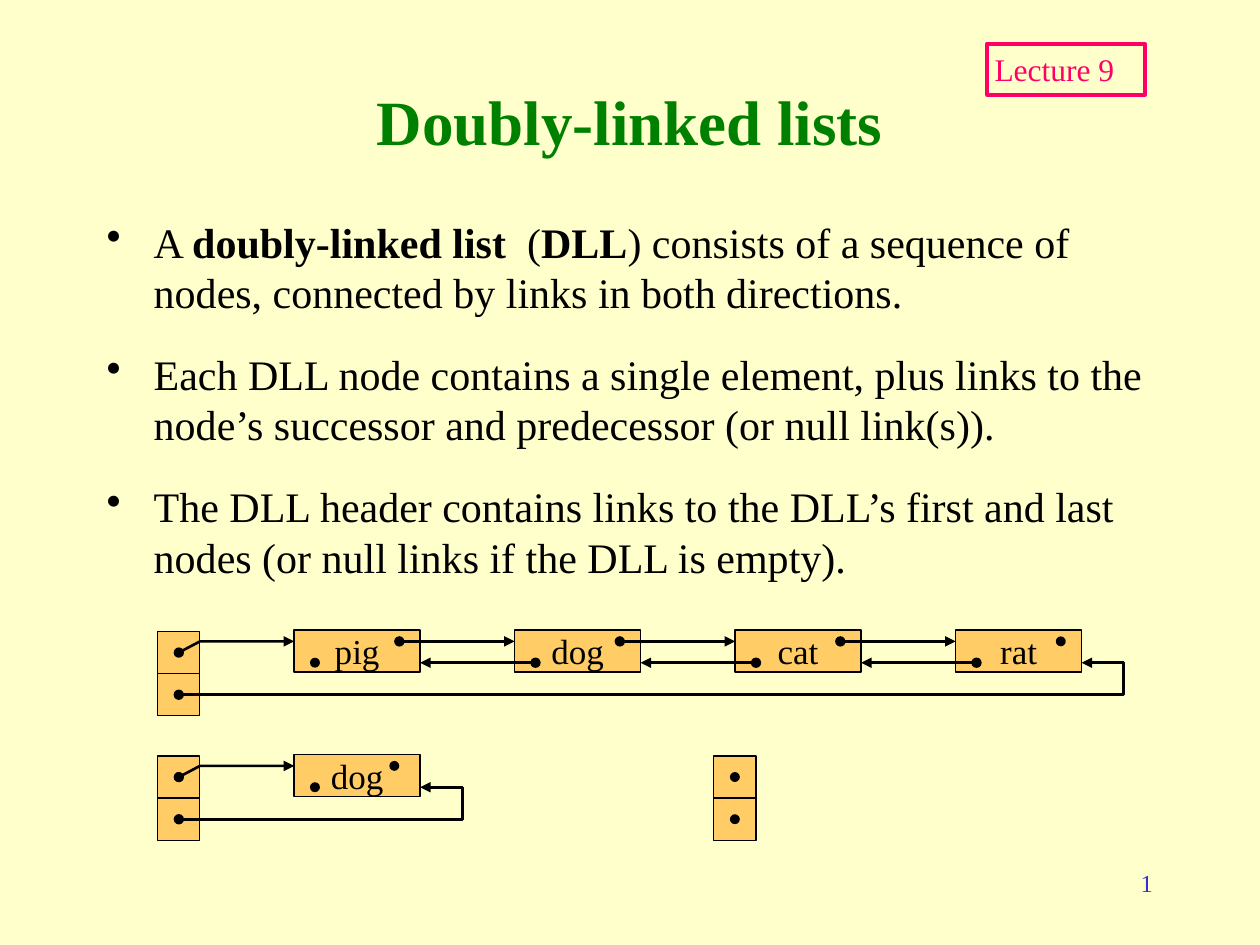
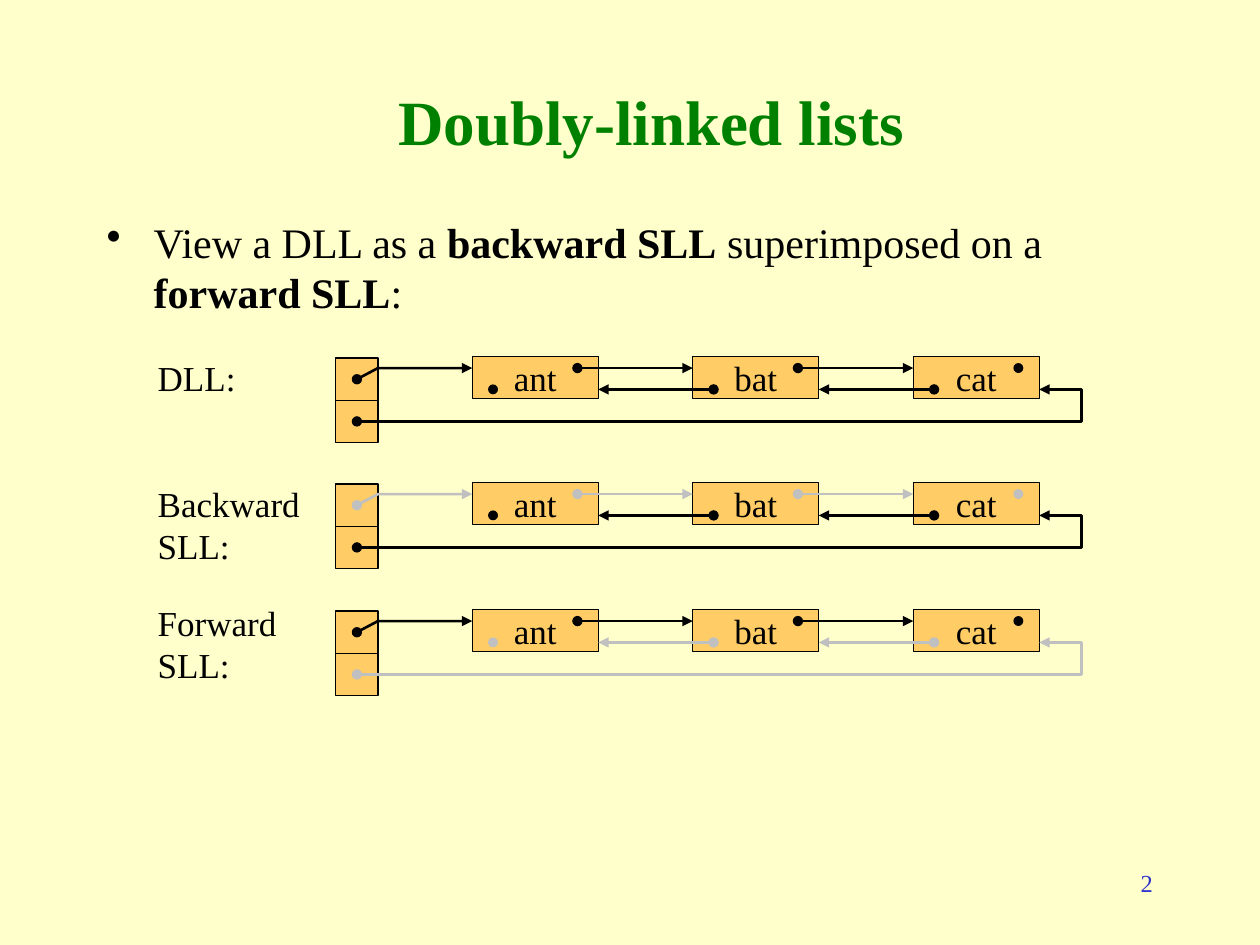
from lxml.etree import SubElement
from pptx import Presentation
from pptx.dml.color import RGBColor
from pptx.enum.shapes import MSO_CONNECTOR, MSO_SHAPE
from pptx.enum.text import MSO_ANCHOR, PP_ALIGN
from pptx.oxml.ns import qn
from pptx.util import Cm, Pt

FONT = "Times New Roman"
BACKGROUND, NODE_FILL = "FFFFCC", "FFCC66"
BLACK, FADED = "000000", "C0C0C0"
TITLE_GREEN, NUMBER_BLUE, LECTURE_PINK = "008000", "3333CC", "FF0066"

# Linked list geometry in centimetres
CELL = 0.85
NODE_WIDTH, NODE_PITCH, FIRST_NODE = 2.54, 4.445, 2.75
HEADER_DROP = 0.03
FORWARD_ROW, BACKWARD_ROW = 0.23, 0.66
FORWARD_DOT, BACKWARD_DOT = 2.12, 0.42
DOT_SIZE = 0.2


def color(hex_string):
    return RGBColor.from_string(hex_string)


def box(left, top, width, height):
    return [Cm(value) for value in (left, top, width, height)]


# Text
def write(paragraph, text, size=20, ink=BLACK, bold=False, align=PP_ALIGN.LEFT):
    """Write text whose *starred* parts are bold."""
    paragraph.alignment = align
    for index, part in enumerate(text.split("*")):
        if part:
            run = paragraph.add_run()
            run.text = part
            run.font.name = FONT
            run.font.size = Pt(size)
            run.font.bold = bold or index % 2 == 1
            run.font.color.rgb = color(ink)


def prepare_frame(shape, side=0, end=0, anchor=MSO_ANCHOR.TOP):
    frame = shape.text_frame
    frame.word_wrap = True
    frame.vertical_anchor = anchor
    frame.margin_left = frame.margin_right = Cm(side)
    frame.margin_top = frame.margin_bottom = Cm(end)
    return frame.paragraphs[0]


def add_label(shapes, area, text, side=0, end=0, **style):
    label = shapes.add_textbox(*box(*area))
    write(prepare_frame(label, side, end), text, **style)


def make_bullet(paragraph):
    properties = paragraph._p.get_or_add_pPr()
    properties.set("marL", str(Cm(0.95)))
    properties.set("indent", str(Cm(-0.95)))
    bullet_color = SubElement(properties, qn("a:buClr"))
    SubElement(bullet_color, qn("a:srgbClr"), val=BLACK)
    SubElement(properties, qn("a:buChar"), char="•")


# Shapes
def add_rectangle(shapes, area, fill=None, ink=BLACK, weight=0.75):
    shape = shapes.add_shape(MSO_SHAPE.RECTANGLE, *box(*area))
    shape.shadow.inherit = False
    if fill:
        shape.fill.solid()
        shape.fill.fore_color.rgb = color(fill)
    else:
        shape.fill.background()
    shape.line.color.rgb = color(ink)
    shape.line.width = Pt(weight)
    return shape


def add_dot(shapes, x, y, ink):
    corner = x - DOT_SIZE / 2, y - DOT_SIZE / 2
    dot = shapes.add_shape(MSO_SHAPE.OVAL, *box(*corner, DOT_SIZE, DOT_SIZE))
    dot.shadow.inherit = False
    dot.fill.solid()
    dot.fill.fore_color.rgb = color(ink)
    dot.line.fill.background()


def add_link(shapes, points, ink):
    """Draw a link through the points, from a dot to an arrowhead."""
    start, *others = [(Cm(x), Cm(y)) for x, y in points]
    if len(others) == 1:
        link = shapes.add_connector(MSO_CONNECTOR.STRAIGHT, *start, *others[0])
        SubElement(link._element.spPr, qn("a:effectLst"))
    else:
        builder = shapes.build_freeform(*start)
        builder.add_line_segments(others, close=False)
        link = builder.convert_to_shape()
        link.shadow.inherit = False
        link.fill.background()
    link.line.color.rgb = color(ink)
    link.line.width = Pt(1.5)
    line = link.line._get_or_add_ln()
    SubElement(line, qn("a:headEnd"), type="oval", w="med", len="med")
    SubElement(line, qn("a:tailEnd"), type="triangle", w="med", len="lng")


# Linked list: header cells, nodes and both chains of links
def draw_list(slide, left, top, words, forward=BLACK, backward=BLACK,
              last_dot=FORWARD_DOT, label=None, label_area=None):
    shapes = slide.shapes.add_group_shape().shapes
    forward_y, backward_y = top + FORWARD_ROW, top + BACKWARD_ROW
    header_x = left + CELL / 2
    first_y = top + HEADER_DROP + CELL / 2
    last_y = first_y + CELL
    for row in range(2):
        area = left, top + HEADER_DROP + row * CELL, CELL, CELL
        add_rectangle(shapes, area, NODE_FILL)
    if label:
        add_label(shapes, label_area, label)
    if not words:
        add_dot(shapes, header_x, first_y, forward)
        add_dot(shapes, header_x, last_y, backward)
        return

    nodes = [left + FIRST_NODE + index * NODE_PITCH for index in range(len(words))]
    for node, word in zip(nodes, words):
        shape = add_rectangle(shapes, (node, top, NODE_WIDTH, CELL), NODE_FILL)
        write(prepare_frame(shape), word, align=PP_ALIGN.CENTER)

    # Links between neighbours, then the two null links
    for node, successor in zip(nodes, nodes[1:]):
        add_link(shapes, [(node + FORWARD_DOT, forward_y),
                          (successor, forward_y)], forward)
        add_link(shapes, [(successor + BACKWARD_DOT, backward_y),
                          (node + NODE_WIDTH, backward_y)], backward)
    add_dot(shapes, nodes[-1] + last_dot, forward_y, forward)
    add_dot(shapes, nodes[0] + BACKWARD_DOT, backward_y, backward)

    # Links from the header
    list_end = nodes[-1] + NODE_WIDTH
    add_link(shapes, [(header_x, first_y), (left + CELL, forward_y),
                      (nodes[0], forward_y)], forward)
    add_link(shapes, [(header_x, last_y), (list_end + CELL, last_y),
                      (list_end + CELL, backward_y),
                      (list_end, backward_y)], backward)


# Slides
def add_slide(presentation, title_left, bullets, body_width):
    slide = presentation.slides.add_slide(presentation.slide_layouts[5])
    title = slide.shapes.title
    title.left, title.top, title.width, title.height = box(title_left, 1.48, 21.59, 1.9)
    write(prepare_frame(title, 0.25, 0.13, MSO_ANCHOR.MIDDLE), "Doubly-linked lists",
          size=36, ink=TITLE_GREEN, bold=True, align=PP_ALIGN.CENTER)

    body = slide.shapes.add_textbox(*box(1.9, 4.23, body_width, 12.91))
    paragraph = prepare_frame(body, 0.25, 0.13)
    for index, bullet in enumerate(bullets):
        if index:
            paragraph = body.text_frame.add_paragraph()
            paragraph.space_before = Pt(18)
        make_bullet(paragraph)
        write(paragraph, bullet, size=24)

    add_label(slide.shapes, (18.2, 17.36, 5.29, 1.27), str(len(presentation.slides)),
              0.25, 0.13, size=14, ink=NUMBER_BLUE, align=PP_ALIGN.RIGHT)
    return slide


def build_definition_slide(presentation):
    slide = add_slide(presentation, 1.9, [
        "A *doubly-linked list*  (*DLL*) consists of a sequence of nodes, "
        "connected by links in both directions.",
        "Each DLL node contains a single element, plus links to the node’s "
        "successor and predecessor (or null link(s)).",
        "The DLL header contains links to the DLL’s first and last nodes "
        "(or null links if the DLL is empty).",
    ], 21.8)
    draw_list(slide, 3.18, 12.7, ["pig", "dog", "cat", "rat"])
    draw_list(slide, 3.18, 15.21, ["dog"], last_dot=2.02)
    draw_list(slide, 14.39, 15.21, [])
    lecture = add_rectangle(slide.shapes, (19.9, 0.88, 3.18, 1.03),
                            ink=LECTURE_PINK, weight=2.25)
    write(prepare_frame(lecture, 0.15, 0.13), "Lecture 9", size=18, ink=LECTURE_PINK)


def build_views_slide(presentation):
    slide = add_slide(presentation, 2.33, [
        "View a DLL as a *backward SLL* superimposed on a *forward SLL*:",
    ], 21.59)
    views = [
        ("DLL:", 7.19, 7.19, BLACK, BLACK),
        ("Backward SLL:", 9.73, 9.73, FADED, BLACK),
        ("Forward SLL:", 12.29, 12.12, BLACK, FADED),
    ]
    for label, top, label_top, forward, backward in views:
        draw_list(slide, 6.77, top, ["ant", "bat", "cat"], forward, backward,
                  label=label, label_area=(3.18, label_top, 2.96, CELL))


def main():
    presentation = Presentation()
    presentation.slide_width, presentation.slide_height = Cm(25.4), Cm(19.05)
    background = presentation.slide_master.background.fill
    background.solid()
    background.fore_color.rgb = color(BACKGROUND)
    build_definition_slide(presentation)
    build_views_slide(presentation)
    presentation.save("out.pptx")


if __name__ == "__main__":
    main()
